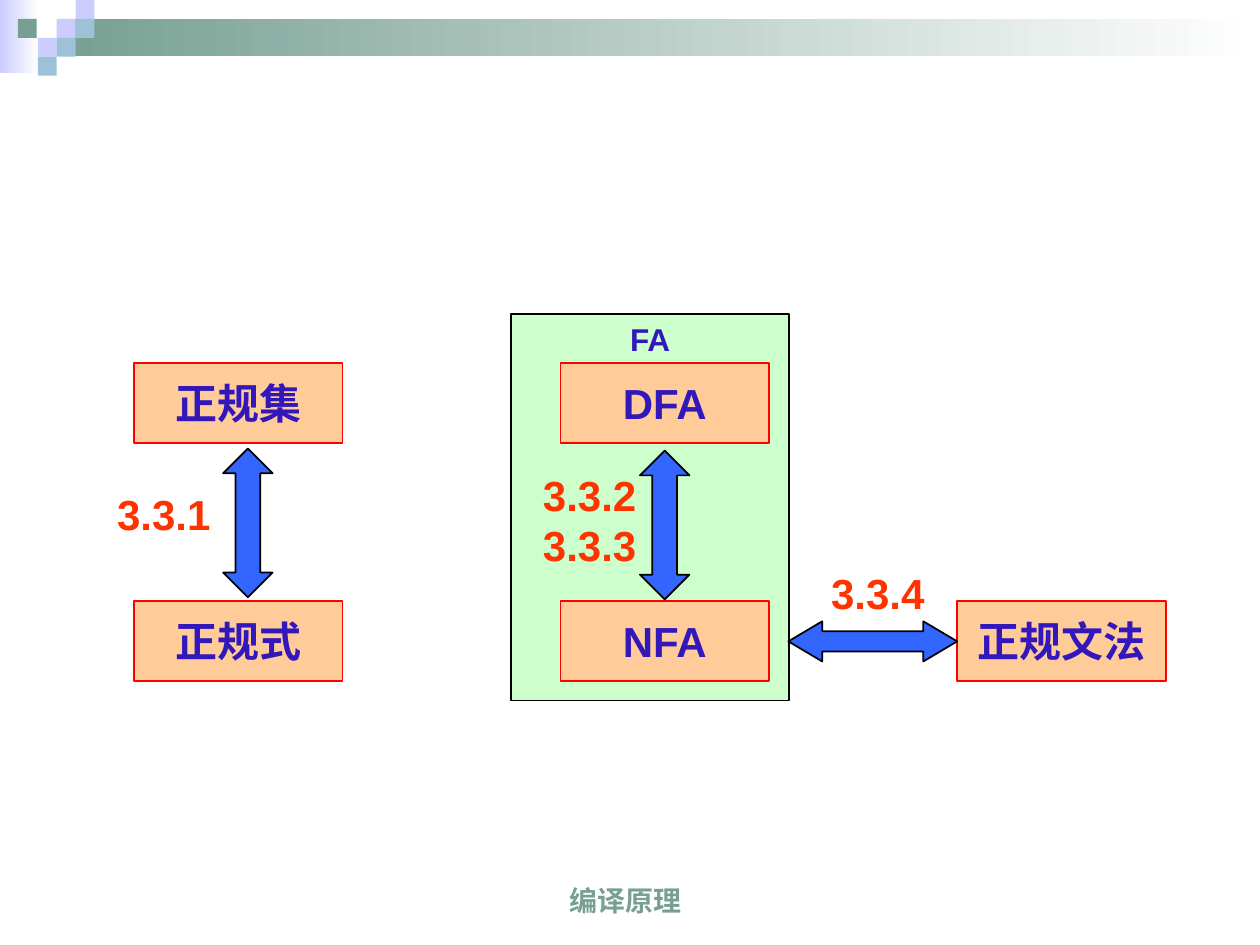
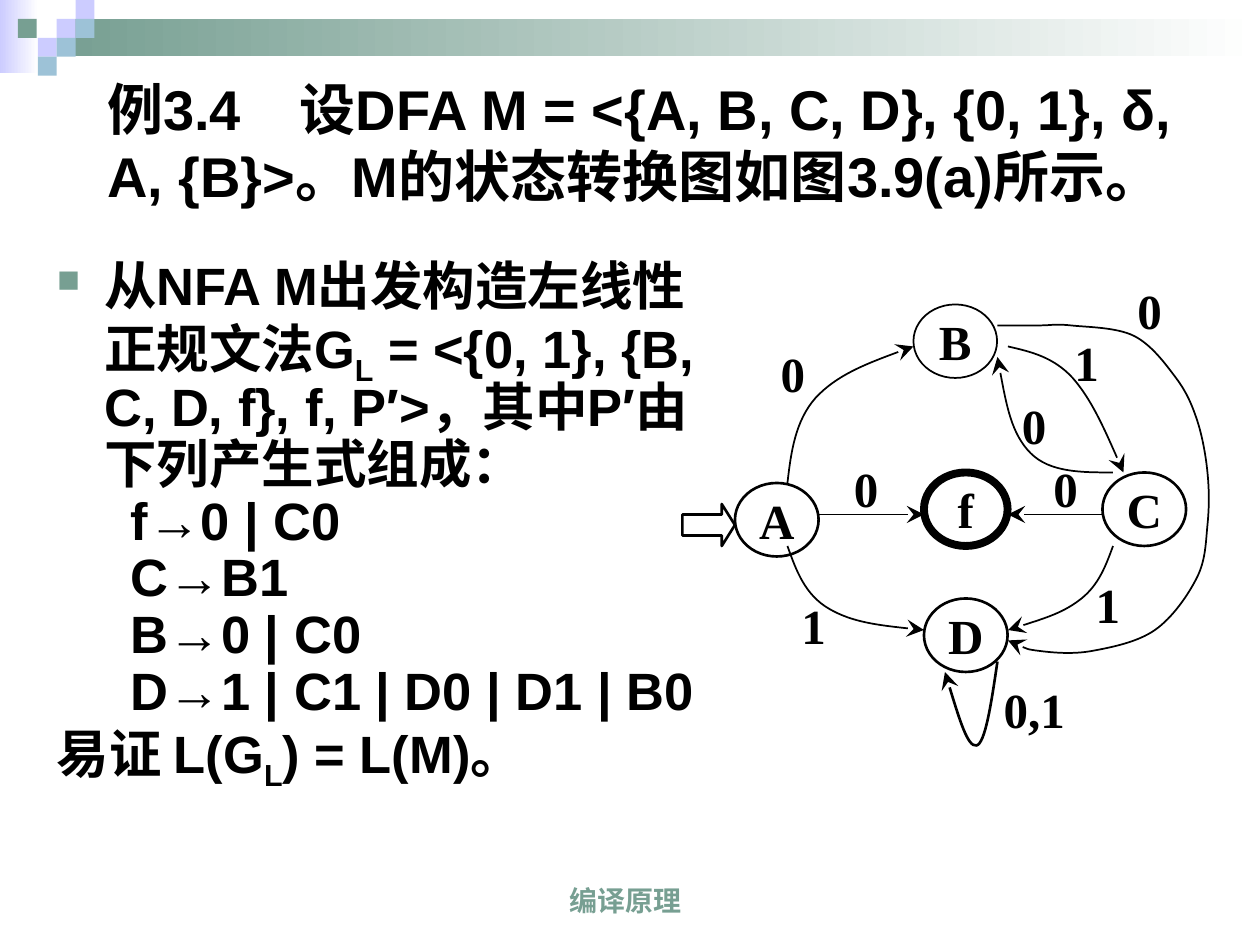
from dataclasses import dataclass
from typing import Any, NamedTuple

import lxml.etree
import pptx
import pptx.dml.color
import pptx.enum.lang
import pptx.enum.shapes
import pptx.enum.text
import pptx.oxml.ns
import pptx.util

Pt = pptx.util.Pt
qn = pptx.oxml.ns.qn
Shape = pptx.enum.shapes.MSO_SHAPE
Align = pptx.enum.text.PP_ALIGN
Anchor = pptx.enum.text.MSO_ANCHOR


@dataclass(frozen=True)
class Theme:
    black: str = "000000"
    white: str = "FFFFFF"
    green: str = "779F92"
    lilac: str = "CCCCFF"
    sky: str = "9DC2D7"
    mint: str = "CCFFCC"
    peach: str = "FFCC99"
    red: str = "FF0000"
    section: str = "FF3300"
    indigo: str = "3217BB"
    blue: str = "3366FF"
    sans: str = "Arial"
    serif: str = "Times New Roman"
    footer: float = 16
    caption: float = 18
    box: float = 24
    state: float = 28
    body: float = 30
    title: float = 32


THEME = Theme()


class Area(NamedTuple):
    left: float
    top: float
    width: float
    height: float


class TextStyle(NamedTuple):
    size: float
    color: str
    font: str = THEME.sans
    align: Any = Align.CENTER
    anchor: Any = Anchor.MIDDLE
    wrap: bool = False


class Block(NamedTuple):
    kind: Any
    area: Area
    fill: str | None = None
    line: str | None = None
    weight: float = 1
    fade: bool = False
    adjust: tuple[float, ...] = ()


class Label(NamedTuple):
    text: str
    area: Area


class State(NamedTuple):
    name: str
    left: float
    top: float
    weight: float = 1.5


class Transition(NamedTuple):
    """A chain of cubic curves: the start, then two controls and an end each."""
    points: list[tuple[float, float]]
    weight: float = 1


class Line(NamedTuple):
    """One paragraph of the body; runs marked True are subscripts."""
    runs: list[tuple[str, bool]]
    margin: float
    indent: float
    bullet: str = ""


FOOTER = TextStyle(THEME.footer, THEME.green, anchor=Anchor.BOTTOM, wrap=True)
BOX = TextStyle(THEME.box, THEME.indigo)
CAPTION = TextStyle(THEME.caption, THEME.indigo, anchor=Anchor.TOP)
SECTION = TextStyle(THEME.box, THEME.section, align=Align.LEFT, anchor=Anchor.TOP, wrap=True)
TITLE = TextStyle(THEME.title, THEME.black, align=Align.LEFT, wrap=True)
BODY = TextStyle(THEME.body, THEME.black, align=Align.LEFT, anchor=Anchor.TOP, wrap=True)
STATE = TextStyle(THEME.state, THEME.black, THEME.serif)

TILE = 10.8
TILES = [(32.4, 10.8, THEME.lilac), (43.2, 0, THEME.lilac), (43.2, 10.8, THEME.sky),
         (21.6, 21.6, THEME.lilac), (10.2, 10.8, THEME.green),
         (32.4, 21.6, THEME.sky), (21.6, 32.4, THEME.sky)]
BAND = [
    Block(Shape.RECTANGLE, Area(0, 0, 22, 42), THEME.lilac, fade=True),
    Block(Shape.RECTANGLE, Area(32.4, 10.8, 687.6, 21.4), THEME.green, fade=True),
    *(Block(Shape.RECTANGLE, Area(x, y, TILE, TILE), color) for x, y, color in TILES),
]

UPPER, LOWER = 207.5, 343.6
CONCEPTS = [("正规集", 76.5, UPPER), ("正规式", 76.5, LOWER), ("DFA", 320.3, UPPER),
            ("NFA", 320.3, LOWER), ("正规文法", 547, LOWER)]
FA_FRAME = Block(Shape.RECTANGLE, Area(292.2, 179.5, 158.6, 220.8), THEME.mint, THEME.black)
EQUIVALENCES = [
    Block(kind, area, THEME.blue, THEME.black, adjust=adjust)
    for kind, area, adjust in [
        (Shape.LEFT_RIGHT_ARROW, Area(450.5, 355, 96.5, 23), (0.5, 0.844)),
        (Shape.UP_DOWN_ARROW, Area(127.5, 256.3, 28.3, 85), (0.597, 0.5)),
        (Shape.UP_DOWN_ARROW, Area(365.7, 257.5, 28.3, 85), (0.597, 0.5))]
]
SECTIONS = [Label("3.3.1", Area(59.8, 275.6, 72, 36)),
            Label("3.3.2\n3.3.3", Area(303.2, 264.5, 72, 65)),
            Label("3.3.4", Area(467.8, 321, 72, 36))]

STATES = [State("A", 420, 276), State("B", 522, 174, 1), State("C", 630, 270),
          State("D", 528, 342), State("f", 528, 270, 4.5)]
INPUTS = [("1", 588, 186), ("0", 420, 192), ("0,1", 558, 384), ("1", 432, 336),
          ("1", 600, 324), ("0", 558, 222), ("0", 624, 156), ("0", 462, 258), ("0", 576, 258)]
ENTRY = Block(Shape.RIGHT_ARROW, Area(390, 288, 30, 24), None, THEME.black, 1.5,
              adjust=(0.5, 0.313))
INTO_FINAL = [((468, 294), (528, 294)), ((630, 294), (576, 294))]
TRANSITIONS = [
    Transition([(570, 378), (566.5, 402), (563, 425), (558, 426),
                (553, 427), (546.5, 405.5), (540, 384)], 1.5),
    Transition([(450, 276), (452, 258.5), (454.5, 240.5), (466, 227.5),
                (478, 214.5), (499.5, 206), (522, 198)]),
    Transition([(450, 312), (455, 326), (460, 340), (474, 348),
                (487, 355.5), (507, 358), (528, 360)]),
    Transition([(636, 270), (618, 270), (600, 270), (589, 259),
                (578, 248), (574, 226), (570, 204)]),
    Transition([(576, 198), (589, 201), (602, 204), (613, 216),
                (623.5, 228), (633, 249), (642, 270)]),
    Transition([(636, 312), (632, 323), (628, 334), (618, 342),
                (608, 350), (592, 355), (576, 360)]),
    Transition([(570, 186), (578, 186), (587, 186), (594, 186),
                (601, 186), (602.5, 185), (612, 186), (621, 187), (638, 187), (648, 192),
                (658, 197), (666, 208), (672, 216), (678, 224), (681, 231), (684, 240),
                (687, 249), (689, 260), (690, 270), (691, 280), (691, 290), (690, 300),
                (689, 310), (689, 320), (684, 330), (679, 340), (670, 353), (660, 360),
                (650, 367), (635, 370), (624, 372), (613, 374), (602, 373), (594, 372),
                (586, 371), (581, 368.5), (576, 366)]),
]

PRODUCTIONS = ["f→0 | C0", "C→B1", "B→0 | C0", "D→1 | C1 | D0 | D1 | B0"]
GRAMMAR = [
    Line([("从NFA M出发构造左线性正规文法G", False), ("L", True),
          (" = <{0, 1}, {B, C, D, f}, f, P′>，其中P′由下列产生式组成：", False)], 27, -27, "■"),
    *(Line([(production, False)], 64.8, -22.5) for production in PRODUCTIONS),
    Line([("易证 L(G", False), ("L", True), (") = L(M)。", False)], 27, -27),
]


def rgb(color: str) -> pptx.dml.color.RGBColor:
    return pptx.dml.color.RGBColor.from_string(color)


def apply(target: Any, formats: dict[str, Any]) -> None:
    for name, value in formats.items():
        setattr(target, name, value)


def in_points(values: Any) -> list[int]:
    return [Pt(value) for value in values]


def style_run(run: Any, style: TextStyle) -> None:
    apply(run.font, {"name": style.font, "size": Pt(style.size), "bold": True,
                     "language_id": pptx.enum.lang.MSO_LANGUAGE_ID.SIMPLIFIED_CHINESE})
    run.font.color.rgb = rgb(style.color)


def prepare_frame(holder: Any, style: TextStyle) -> Any:
    frame = holder.text_frame
    apply(frame, {"word_wrap": style.wrap, "vertical_anchor": style.anchor,
                  "margin_left": Pt(7.2), "margin_right": Pt(7.2),
                  "margin_top": Pt(3.6), "margin_bottom": Pt(3.6)})
    return frame


def write(holder: Any, text: str, style: TextStyle) -> Any:
    frame = prepare_frame(holder, style)
    frame.text = text
    for paragraph in frame.paragraphs:
        paragraph.alignment = style.align
        for run in paragraph.runs:
            style_run(run, style)
    return frame


def add_label(slide: Any, label: Label, style: TextStyle) -> Any:
    return write(slide.shapes.add_textbox(*in_points(label.area)), label.text, style)


def set_outline(shape: Any, color: str, weight: float) -> None:
    shape.line.color.rgb = rgb(color)
    shape.line.width = Pt(weight)


def add_block(slide: Any, block: Block) -> Any:
    shape = slide.shapes.add_shape(block.kind, *in_points(block.area))
    shape.shadow.inherit = False
    for index, value in enumerate(block.adjust):
        shape.adjustments[index] = value
    if block.fade:
        shape.fill.gradient()
        shape.fill.gradient_angle = 0
        for stop, color in zip(shape.fill.gradient_stops, (block.fill, THEME.white)):
            stop.color.rgb = rgb(color)
    elif block.fill:
        shape.fill.solid()
        shape.fill.fore_color.rgb = rgb(block.fill)
    else:
        shape.fill.background()
    if block.line:
        set_outline(shape, block.line, block.weight)
    else:
        shape.line.fill.background()
    return shape


def add_arrowhead(shape: Any) -> None:
    outline = shape._element.spPr.find(qn("a:ln"))
    lxml.etree.SubElement(outline, qn("a:tailEnd"), type="stealth", w="lg", len="lg")


def bend(shape: Any) -> None:
    """Turn every three straight segments into one cubic curve."""
    outline = shape._element.spPr.find(".//" + qn("a:path"))
    segments = outline.findall(qn("a:lnTo"))
    for first in range(0, len(segments), 3):
        curve = lxml.etree.SubElement(outline, qn("a:cubicBezTo"))
        for segment in segments[first:first + 3]:
            curve.append(segment[0])
            outline.remove(segment)


def add_transition(slide: Any, transition: Transition) -> None:
    start, *others = [tuple(in_points(point)) for point in transition.points]
    builder = slide.shapes.build_freeform(*start)
    builder.add_line_segments(others, close=False)
    curve = builder.convert_to_shape()
    bend(curve)
    curve.shadow.inherit = False
    curve.fill.background()
    set_outline(curve, THEME.black, transition.weight)
    add_arrowhead(curve)


def add_straight_transition(slide: Any, start: tuple, end: tuple) -> None:
    arrow = slide.shapes.add_connector(pptx.enum.shapes.MSO_CONNECTOR.STRAIGHT,
                                       *in_points(start + end))
    set_outline(arrow, THEME.black, 1)
    add_arrowhead(arrow)
    lxml.etree.SubElement(arrow._element.spPr, qn("a:effectLst"))


def add_bullet(properties: Any, mark: str) -> None:
    color = lxml.etree.SubElement(properties, qn("a:buClr"))
    lxml.etree.SubElement(color, qn("a:srgbClr"), val=THEME.green)
    lxml.etree.SubElement(properties, qn("a:buSzPct"), val="60000")
    lxml.etree.SubElement(properties, qn("a:buChar"), char=mark)


def add_grammar(slide: Any) -> None:
    frame = prepare_frame(slide.shapes.add_textbox(*in_points((25.4, 145.2, 397, 342))), BODY)
    for index, line in enumerate(GRAMMAR):
        paragraph = frame.add_paragraph() if index else frame.paragraphs[0]
        properties = paragraph._p.get_or_add_pPr()
        properties.set("marL", str(Pt(line.margin)))
        properties.set("indent", str(Pt(line.indent)))
        if line.bullet:
            add_bullet(properties, line.bullet)
        paragraph.line_spacing = 0.9
        for text, subscript in line.runs:
            run = paragraph.add_run()
            run.text = text
            style_run(run, BODY)
            if subscript:
                run._r.get_or_add_rPr().set("baseline", "-25000")


def add_title(slide: Any) -> None:
    text = "例3.4\t设DFA M = <{A, B, C, D}, {0, 1}, δ, A, {B}>。M的状态转换图如图3.9(a)所示。"
    frame = add_label(slide, Label(text, Area(54.2, 36, 648, 90)), TITLE)
    properties = frame.paragraphs[0]._p.get_or_add_pPr()
    properties.set("hangingPunct", "0")
    stops = lxml.etree.SubElement(properties, qn("a:tabLst"))
    lxml.etree.SubElement(stops, qn("a:tab"), pos=str(Pt(110)), algn="l")


def new_slide(deck: Any) -> Any:
    slide = deck.slides.add_slide(deck.slide_layouts[6])
    for block in BAND:
        add_block(slide, block)
    add_label(slide, Label("编译原理", Area(229.9, 491.8, 255, 36)), FOOTER)
    return slide


def build_overview(slide: Any) -> None:
    write(add_block(slide, FA_FRAME), "FA", CAPTION)
    for name, left, top in CONCEPTS:
        box = Block(Shape.RECTANGLE, Area(left, top, 119.2, 45.5), THEME.peach, THEME.red)
        write(add_block(slide, box), name, BOX)
    for arrow in EQUIVALENCES:
        add_block(slide, arrow)
    for section in SECTIONS:
        add_label(slide, section, SECTION)


def build_example(slide: Any) -> None:
    add_grammar(slide)
    add_title(slide)
    for state in STATES:
        circle = Block(Shape.OVAL, Area(state.left, state.top, 47.8, 42), None,
                       THEME.black, state.weight)
        write(add_block(slide, circle), state.name, STATE)
    for transition in TRANSITIONS:
        add_transition(slide, transition)
    for start, end in INTO_FINAL:
        add_straight_transition(slide, start, end)
    add_block(slide, ENTRY)
    for symbol, left, top in INPUTS:
        add_label(slide, Label(symbol, Area(left, top, 66, 42)), STATE)


def main() -> None:
    deck = pptx.Presentation()
    apply(deck, {"slide_width": Pt(720), "slide_height": Pt(540)})
    for build in (build_overview, build_example):
        build(new_slide(deck))
    deck.save("out.pptx")


if __name__ == "__main__":
    main()
